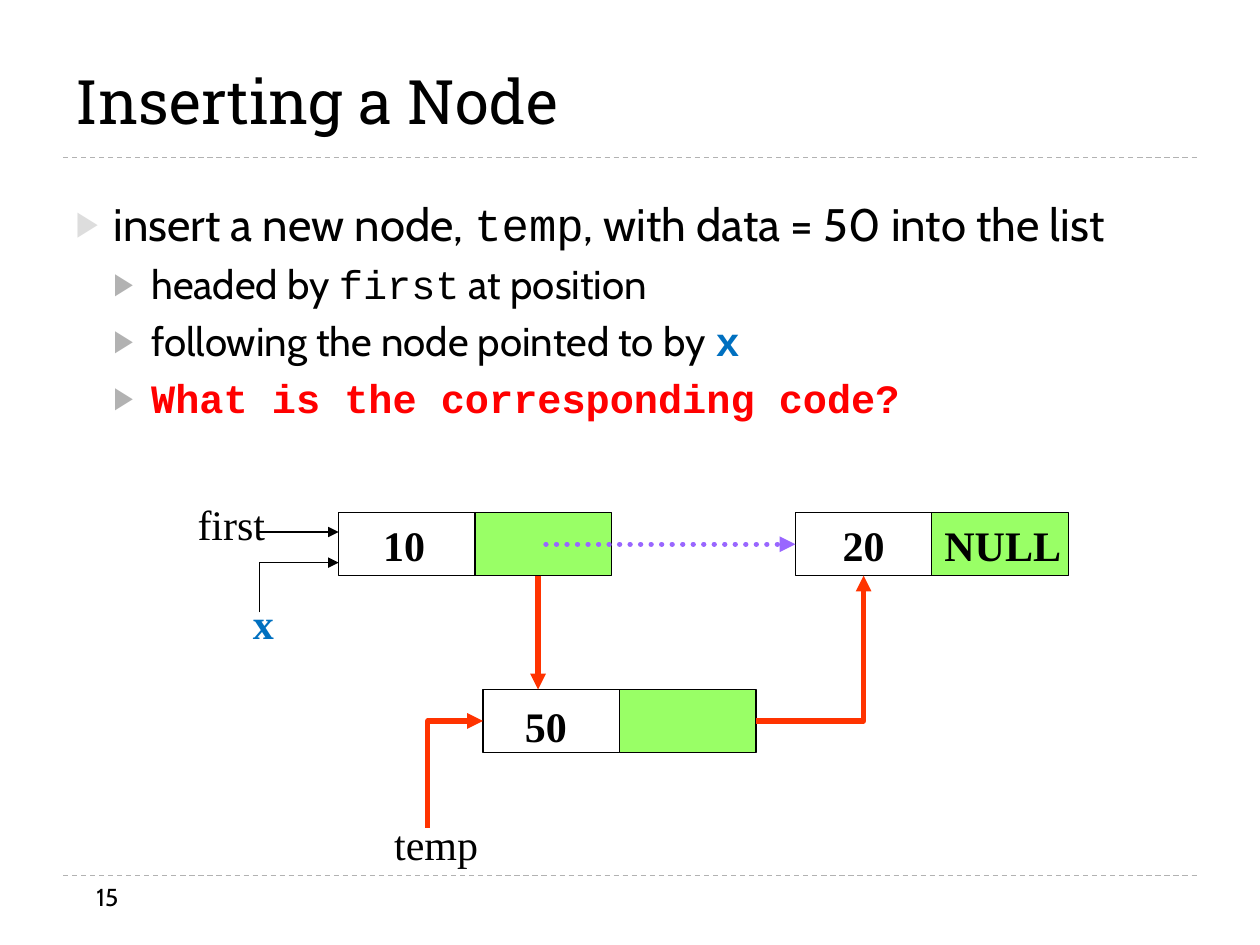
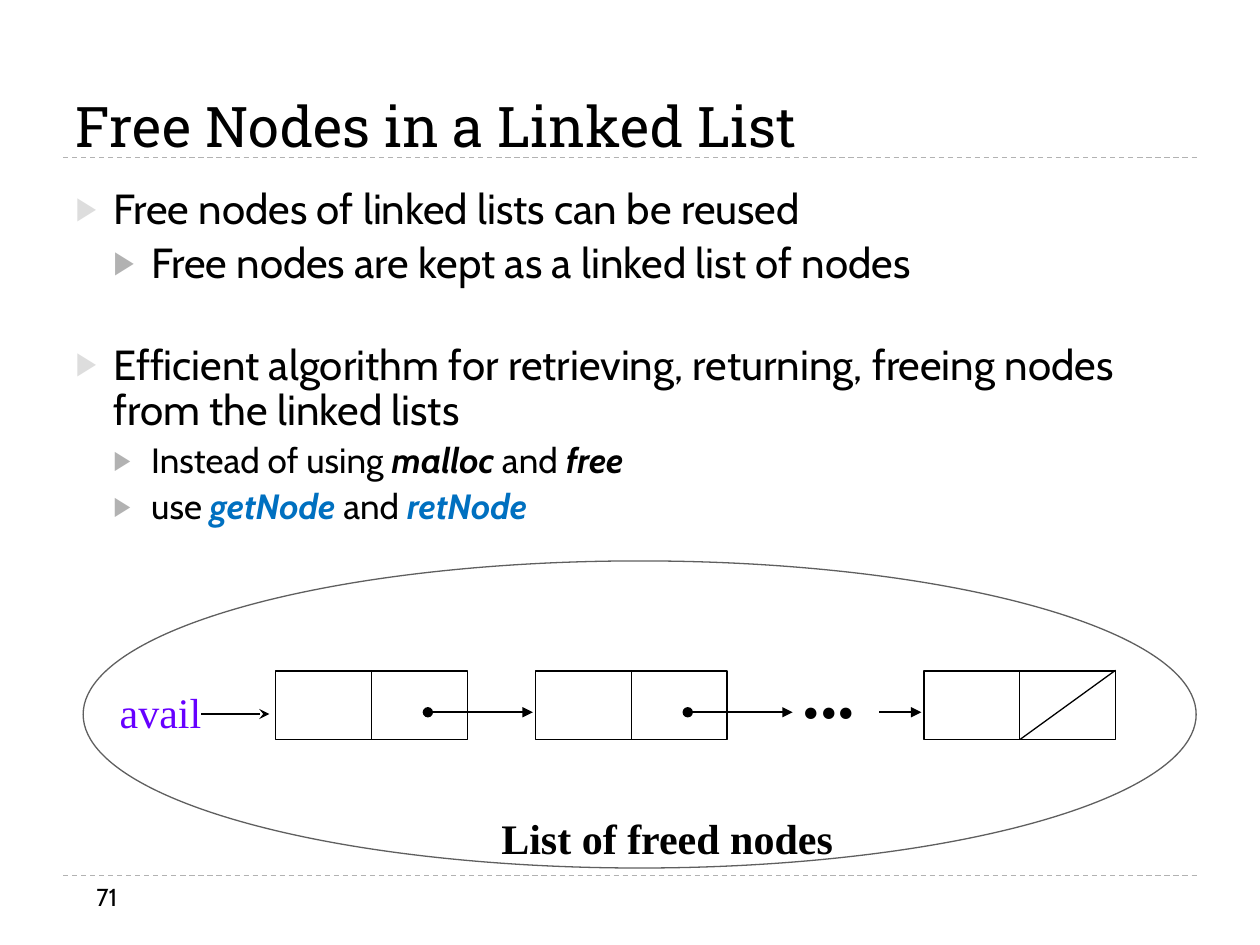
from dataclasses import dataclass
from typing import Any

from lxml import etree
from pptx import Presentation
from pptx.dml.color import RGBColor
from pptx.enum.dml import MSO_LINE
from pptx.enum.shapes import MSO_CONNECTOR, MSO_SHAPE
from pptx.enum.text import MSO_ANCHOR, MSO_AUTO_SIZE, PP_ALIGN
from pptx.oxml.ns import qn
from pptx.util import Pt

STRAIGHT = MSO_CONNECTOR.STRAIGHT
RECTANGLE, OVAL = MSO_SHAPE.RECTANGLE, MSO_SHAPE.OVAL
DASH, DOTS = MSO_LINE.DASH, MSO_LINE.ROUND_DOT
LEFT, CENTER = PP_ALIGN.LEFT, PP_ALIGN.CENTER
TOP, BOTTOM = MSO_ANCHOR.TOP, MSO_ANCHOR.BOTTOM
NO_AUTOFIT = MSO_AUTO_SIZE.NONE
TOP_SITE, LEFT_SITE, BOTTOM_SITE = 0, 1, 2

BLACK = RGBColor(0x00, 0x00, 0x00)
RULE_GREY = RGBColor(0xB2, 0xB2, 0xB2)
PALE_GREY = RGBColor(0xDD, 0xDD, 0xDD)
DARK_GREY = RGBColor(0x5F, 0x5F, 0x5F)
BLUE = RGBColor(0x00, 0x70, 0xC0)
RED = RGBColor(0xFF, 0x00, 0x00)
ORANGE = RGBColor(0xFF, 0x33, 0x00)
GREEN = RGBColor(0x99, 0xFF, 0x66)
LILAC = RGBColor(0x99, 0x66, 0xFF)
VIOLET = RGBColor(0x66, 0x00, 0xFF)

Format = dict[str, Any]
TITLE: Format = {"name": "Roboto Slab", "color": BLACK}
BODY: Format = {"name": "Cabin", "color": BLACK}
LABEL: Format = {"name": "Times New Roman", "size": Pt(24), "color": BLACK}
CODE: Format = {"name": "Courier New"}
BOLD: Format = {"bold": True}
KEYWORD: Format = {"bold": True, "italic": True}
BLUE_KEYWORD: Format = KEYWORD | {"color": BLUE}

BULLET_COLORS = (PALE_GREY, RULE_GREY)
SPACE_BEFORE = (6, 5)


@dataclass(frozen=True)
class Box:
    left: float
    top: float
    width: float
    height: float

    def emu(self) -> list[int]:
        return [Pt(v) for v in (self.left, self.top, self.width, self.height)]


@dataclass(frozen=True)
class Stroke:
    color: RGBColor = BLACK
    width: float = 0.75
    dash: Any = None
    head: str = ""
    tail: str = ""


@dataclass(frozen=True)
class Item:
    level: int
    size: float
    runs: tuple[tuple[str, Format], ...]
    before: float | None = None


@dataclass(frozen=True)
class Label:
    text: str
    box: Box
    style: Format


THIN = Stroke()
RULE = Stroke(RULE_GREY, dash=DASH)
POINTER = Stroke(tail="triangle")
NEW_LINK = Stroke(ORANGE, 3, tail="triangle")
OLD_LINK = Stroke(LILAC, 3, DOTS, tail="triangle")
NEXT_LINK = Stroke(width=1, head="oval", tail="triangle")
LAST_LINK = Stroke(width=1, tail="triangle")
AVAIL_LINK = Stroke(width=1, tail="stealth")


# Formatting
def apply_format(font: Any, values: Format) -> None:
    for key, value in values.items():
        if key == "color":
            font.color.rgb = value
        else:
            setattr(font, key, value)


def apply_stroke(shape: Any, stroke: Stroke) -> None:
    line = shape.line
    line.color.rgb = stroke.color
    line.width = Pt(stroke.width)
    if stroke.dash is not None:
        line.dash_style = stroke.dash
    ln = shape._element.spPr.find(qn("a:ln"))
    if stroke.dash == DOTS:
        ln.set("cap", "rnd")
    for tag, kind in (("a:headEnd", stroke.head), ("a:tailEnd", stroke.tail)):
        if kind:
            etree.SubElement(ln, qn(tag), type=kind)


def add_bullet(paragraph: Any, level: int) -> None:
    properties = paragraph._p.get_or_add_pPr()
    properties.set("marL", str(Pt(21.6 * (level + 1))))
    properties.set("indent", str(-Pt(21.6)))
    color = etree.SubElement(properties, qn("a:buClr"))
    etree.SubElement(color, qn("a:srgbClr"), val=str(BULLET_COLORS[level]))
    etree.SubElement(properties, qn("a:buSzPct"), val="76000")
    etree.SubElement(properties, qn("a:buChar"), char="▶")


# Drawing
def add_line(slide: Any, start: tuple[float, float], end: tuple[float, float],
             stroke: Stroke) -> Any:
    line = slide.shapes.add_connector(STRAIGHT, *(Pt(v) for v in start + end))
    apply_stroke(line, stroke)
    etree.SubElement(line._element.spPr, qn("a:effectLst"))
    return line


def add_elbow(slide: Any, points: list[tuple[float, float]], stroke: Stroke) -> None:
    start, *rest = [(Pt(x), Pt(y)) for x, y in points]
    builder = slide.shapes.build_freeform(*start)
    builder.add_line_segments(rest, close=False)
    elbow = builder.convert_to_shape()
    elbow.fill.background()
    elbow.shadow.inherit = False
    apply_stroke(elbow, stroke)


def add_outline(slide: Any, kind: Any, box: Box, fill: RGBColor | None = None,
                stroke: Stroke = THIN) -> Any:
    shape = slide.shapes.add_shape(kind, *box.emu())
    shape.shadow.inherit = False
    if fill is None:
        shape.fill.background()
    else:
        shape.fill.solid()
        shape.fill.fore_color.rgb = fill
    apply_stroke(shape, stroke)
    return shape


def add_label(slide: Any, label: Label, align: Any = CENTER) -> None:
    frame = slide.shapes.add_textbox(*label.box.emu()).text_frame
    frame.word_wrap = False
    paragraph = frame.paragraphs[0]
    paragraph.alignment = align
    run = paragraph.add_run()
    run.text = label.text
    apply_format(run.font, label.style)


def place(placeholder: Any, box: Box, anchor: Any) -> Any:
    places = zip(("left", "top", "width", "height"), box.emu())
    for key, value in places:
        setattr(placeholder, key, value)
    frame = placeholder.text_frame
    settings = {"auto_size": NO_AUTOFIT, "word_wrap": True, "vertical_anchor": anchor}
    for key, value in settings.items():
        setattr(frame, key, value)
    return frame


def start_slide(deck: Any, title: str, title_box: Box, title_size: float,
                number: str) -> Any:
    slide = deck.slides.add_slide(deck.slide_layouts[1])
    for y in (500.5, 90):
        add_line(slide, (36, y), (684, y), RULE)
    paragraph = place(slide.shapes.title, title_box, BOTTOM).paragraphs[0]
    paragraph.alignment = LEFT
    run = paragraph.add_run()
    run.text = title
    apply_format(run.font, TITLE | {"size": Pt(title_size)})
    add_label(slide, Label(number, Box(48, 500.5, 156, 29), BODY | {"size": Pt(14)}), LEFT)
    return slide


def fill_body(slide: Any, box: Box, items: list[Item], spacing: float) -> None:
    frame = place(slide.placeholders[1], box, TOP)
    for index, item in enumerate(items):
        paragraph = frame.add_paragraph() if index else frame.paragraphs[0]
        paragraph.level = item.level
        add_bullet(paragraph, item.level)
        before = SPACE_BEFORE[item.level] if item.before is None else item.before
        paragraph.space_before = Pt(before if index else 0)
        paragraph.line_spacing = spacing
        for text, style in item.runs:
            run = paragraph.add_run()
            run.text = text
            apply_format(run.font, BODY | {"size": Pt(item.size)} | style)


# Slide: inserting a node
def add_insertion_slide(deck: Any) -> None:
    slide = start_slide(deck, "Inserting a Node", Box(36, 10, 594, 71.5), 35, "15")
    fill_body(slide, Box(36, 108.5, 648, 150), [
        Item(0, 26, (("insert a new node, ", {}), ("temp", CODE),
                     (", with data = 50 into the list", {}))),
        Item(1, 23, (("headed by ", {}), ("first", CODE), (" at position", {}))),
        Item(1, 23, (("following the node pointed to by ", {}),
                     ("x", CODE | BOLD | {"color": BLUE}))),
        Item(1, 23, (("What is the corresponding code?", CODE | BOLD | {"color": RED}),)),
    ], 1.0)

    # Nodes: a data cell and a green link cell
    cell_width, cell_height = 78, 36
    list_top, new_top = 293, 394
    data_cells = []
    for left, top in ((193.5, list_top), (454.5, list_top), (276, new_top)):
        data_cells.append(add_outline(
            slide, RECTANGLE, Box(left, top, cell_width, cell_height)))
        add_outline(slide, RECTANGLE,
                    Box(left + cell_width, top, cell_width, cell_height), GREEN)

    # Links
    list_middle, list_bottom = list_top + cell_height / 2, list_top + cell_height
    new_middle = new_top + cell_height / 2
    old_link = add_line(slide, (312, list_middle), (454.5, list_middle), OLD_LINK)
    old_link.end_connect(data_cells[1], LEFT_SITE)
    add_line(slide, (307.5, list_bottom), (307.5, new_top), NEW_LINK)
    add_elbow(slide, [(432, new_middle), (493.5, new_middle), (493.5, list_bottom)],
              NEW_LINK)
    add_elbow(slide, [(244.5, 473), (244.5, new_middle), (276, new_middle)], NEW_LINK)
    add_line(slide, (147, 304), (193.5, 304), POINTER)
    add_elbow(slide, [(148.5, 350), (148.5, 321.5), (193.5, 321.5)], POINTER)

    # Labels
    for label in (
        Label("10", Box(206, 293.5, 50, 36), LABEL | BOLD),
        Label("20", Box(468.5, 293.5, 50, 36), LABEL | BOLD),
        Label("50", Box(287, 397, 50, 36), LABEL | BOLD),
        Label("NULL", Box(527.5, 293.5, 91, 36), LABEL | BOLD),
        Label("first", Box(100.5, 281.5, 63.5, 36), LABEL),
        Label("x", Box(132, 338, 37, 36), LABEL | BOLD | {"color": BLUE}),
        Label("temp", Box(213, 464, 72.5, 36), LABEL),
    ):
        add_label(slide, label)


# Slide: list of freed nodes
def add_free_nodes_slide(deck: Any) -> None:
    slide = start_slide(deck, "Free Nodes in a Linked List", Box(36, 9.5, 648, 85), 32, "71")
    fill_body(slide, Box(36, 104, 641, 253.5), [
        Item(0, 24, (("Free nodes of linked lists can be reused", {}),)),
        Item(1, 24, (("Free nodes are kept as a linked list of nodes", {}),)),
        Item(0, 24, (("Efficient algorithm for retrieving, returning, freeing nodes "
                      "from the linked lists", {}),), before=32),
        Item(1, 20, (("Instead of using ", {}), ("malloc ", KEYWORD), ("and", {}),
                     (" free", KEYWORD))),
        Item(1, 20, (("use ", {}), ("getNode", BLUE_KEYWORD), (" and ", {}),
                     ("retNode", BLUE_KEYWORD))),
    ], 0.9)

    # Nodes, each split in two
    node_top, node_width, node_height = 383.5, 109.5, 39
    for left in (157.5, 306, 528):
        node = add_outline(slide, RECTANGLE, Box(left, node_top, node_width, node_height))
        middle = left + node_width / 2
        divider = add_line(slide, (middle, node_top), (middle, node_top + node_height), THIN)
        divider.begin_connect(node, TOP_SITE)
        divider.end_connect(node, BOTTOM_SITE)
    add_line(slide, (637.5, 383), (583, 422.5), THIN)

    # Links
    for start, end, y, stroke in (
        (115, 154, 408, AVAIL_LINK),
        (244.5, 304.5, 407, NEXT_LINK),
        (393, 453, 407, NEXT_LINK),
        (502.5, 526.5, 407, LAST_LINK),
    ):
        add_line(slide, (start, y), (end, y), stroke)

    # Enclosing oval and labels
    add_outline(slide, OVAL, Box(47.5, 320.5, 636, 175.5), stroke=Stroke(DARK_GREY))
    for label in (
        Label("avail", Box(56, 389, 71.5, 36), LABEL | {"color": VIOLET}),
        Label("...", Box(446.5, 367, 54.5, 55.5), LABEL | BOLD | {"size": Pt(40)}),
        Label("List of freed nodes", Box(274, 461, 214.5, 36), LABEL | BOLD),
    ):
        add_label(slide, label)


def main() -> None:
    deck = Presentation()
    deck.slide_width, deck.slide_height = Pt(720), Pt(540)
    add_insertion_slide(deck)
    add_free_nodes_slide(deck)
    deck.save("out.pptx")


if __name__ == "__main__":
    main()
